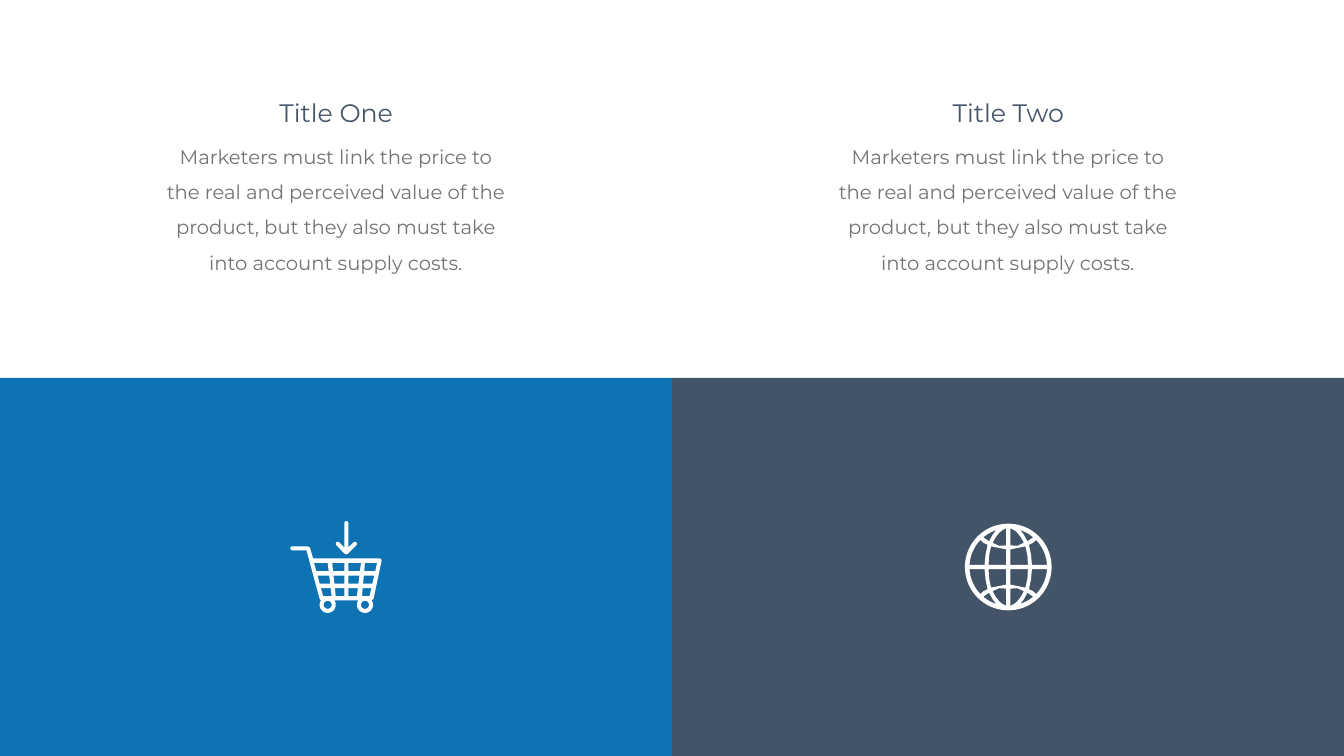
from math import cos, radians, sin

from pptx import Presentation
from pptx.dml.color import RGBColor
from pptx.enum.shapes import MSO_SHAPE
from pptx.enum.text import MSO_AUTO_SIZE, PP_ALIGN
from pptx.util import Inches, Pt

RECTANGLE = MSO_SHAPE.RECTANGLE
CENTER = PP_ALIGN.CENTER
GROW = MSO_AUTO_SIZE.SHAPE_TO_FIT_TEXT

BLUE = RGBColor(0x0D, 0x73, 0xB2)
SLATE = RGBColor(0x44, 0x54, 0x68)
TITLE_COLOR = RGBColor(0x44, 0x54, 0x69)
BODY_COLOR = RGBColor(0x73, 0x75, 0x72)
WHITE = RGBColor(0xFF, 0xFF, 0xFF)

HALF_WIDTH = 13.33
HALF_HEIGHT = 7.5
BODY = (
    "Marketers must link the price to the real and perceived value of the "
    "product, but they also must take into account supply costs."
)


def add_text(shapes, text, *, left, top, width, height, size, color, spacing=None):
    box = shapes.add_textbox(Inches(left), Inches(top), Inches(width), Inches(height))
    frame = box.text_frame
    frame.word_wrap = True
    frame.auto_size = GROW
    para = frame.paragraphs[0]
    para.alignment = CENTER
    para.line_spacing = spacing
    span = para.add_run()
    span.text = text
    span.font.name = "Montserrat"
    span.font.size = Pt(size)
    span.font.color.rgb = color


def arc(x, y, radius, start=0, end=360, steps=24):
    angles = [radians(start + (end - start) * step / steps) for step in range(steps + 1)]
    return [(x + radius * cos(angle), y + radius * sin(angle)) for angle in angles]


deck = Presentation()
deck.slide_width = Inches(2 * HALF_WIDTH)
deck.slide_height = Inches(2 * HALF_HEIGHT)
page = deck.slides.add_slide(deck.slide_layouts[6])

for column, color in enumerate((BLUE, SLATE)):
    panel = page.shapes.add_shape(
        RECTANGLE,
        Inches(column * HALF_WIDTH),
        Inches(HALF_HEIGHT),
        Inches(HALF_WIDTH),
        Inches(HALF_HEIGHT),
    )
    panel.shadow.inherit = False
    panel.fill.solid()
    panel.fill.fore_color.rgb = color
    panel.line.fill.background()

globe_x, globe_y = 20, 11.25
quarter_holes = [
    [(0.04, 0.04), (0.39, 0.04), (0.38, 0.23), (0.34, 0.41), (0.19, 0.34 + 0.04), (0.04, 0.35)],
    [(0.04, 0.77), (0.12, 0.73), (0.18, 0.68), (0.25, 0.59), (0.31, 0.48), (0.18, 0.42), (0.04, 0.43)],
    [(0.47, 0.04), *arc(0, 0, 0.77, 3, 44, 8), (0.49, 0.48), (0.41, 0.44), (0.45, 0.25)],
    [*arc(0, 0, 0.77, 50, 72, 5), (0.31, 0.64), (0.38, 0.51), (0.44, 0.55)],
]
globe = [arc(globe_x, globe_y, 0.86, steps=72)]
for side_x in (-1, 1):
    for side_y in (-1, 1):
        for hole in quarter_holes:
            globe.append([(globe_x + side_x * x, globe_y + side_y * y) for x, y in hole])

wheels = [(7.24, 12), (6.5, 12)]
cart_body = [(7.41, 11.88)]
for x, y in wheels:
    cart_body += arc(x, y, 0.16, -33, 213)
cart_body += [
    (6.34, 11.88),
    (6.08, 10.92),
    *arc(5.8, 10.88, 0.04, 90, 270, 8),
    (6.11, 10.84),
    (6.15, 10.87),
    (6.21, 11.08),
    *arc(7.53, 11.12, 0.04, 270, 370, 6),
]
arrow = [
    *arc(6.87, 10.38, 0.04, 180, 360, 8),
    (6.91, 10.86),
    *arc(7.04, 10.79, 0.04, 225, 405, 8),
    (6.9, 10.99),
    (6.87, 11),
    (6.84, 10.99),
    *arc(6.7, 10.79, 0.04, 135, 315, 8),
    (6.83, 10.86),
]
cart = [cart_body, arrow] + [arc(x, y, 0.08) for x, y in wheels]

basket_top, basket_height = 11.17, 0.66
basket_columns = [
    (6.23, 6.5, 6.41, 6.58),
    (6.59, 6.83, 6.66, 6.83),
    (6.91, 7.16, 6.91, 7.08),
    (7.24, 7.48, 7.18, 7.33),
]
for top_left, top_right, bottom_left, bottom_right in basket_columns:
    for row in range(3):
        upper = row * 0.25
        lower = upper + 0.16
        corners = []
        for depth, sides in ((upper, (0, 1)), (lower, (1, 0))):
            share = depth / basket_height
            edges = (
                top_left + (bottom_left - top_left) * share,
                top_right + (bottom_right - top_right) * share,
            )
            corners += [(edges[side], basket_top + depth) for side in sides]
        cart.append(corners)

for contours in (globe, cart):
    points = [[(Inches(x), Inches(y)) for x, y in contour] for contour in contours]
    builder = page.shapes.build_freeform(*points[0][0])
    builder.add_line_segments(points[0][1:])
    for contour in points[1:]:
        builder.move_to(*contour[0])
        builder.add_line_segments(contour[1:])
    icon = builder.convert_to_shape()
    icon.shadow.inherit = False
    icon.fill.solid()
    icon.fill.fore_color.rgb = WHITE
    icon.line.fill.background()

for column, title in enumerate(("Title One", "Title Two")):
    offset = column * HALF_WIDTH
    group = page.shapes.add_group_shape()
    add_text(
        group.shapes, title, left=offset + 3.71, top=1.89, width=5.92, height=0.71,
        size=36, color=TITLE_COLOR,
    )
    add_text(
        group.shapes, BODY, left=offset + 3.17, top=2.59, width=6.98, height=2.85,
        size=28, color=BODY_COLOR, spacing=1.5,
    )

deck.save("out.pptx")
